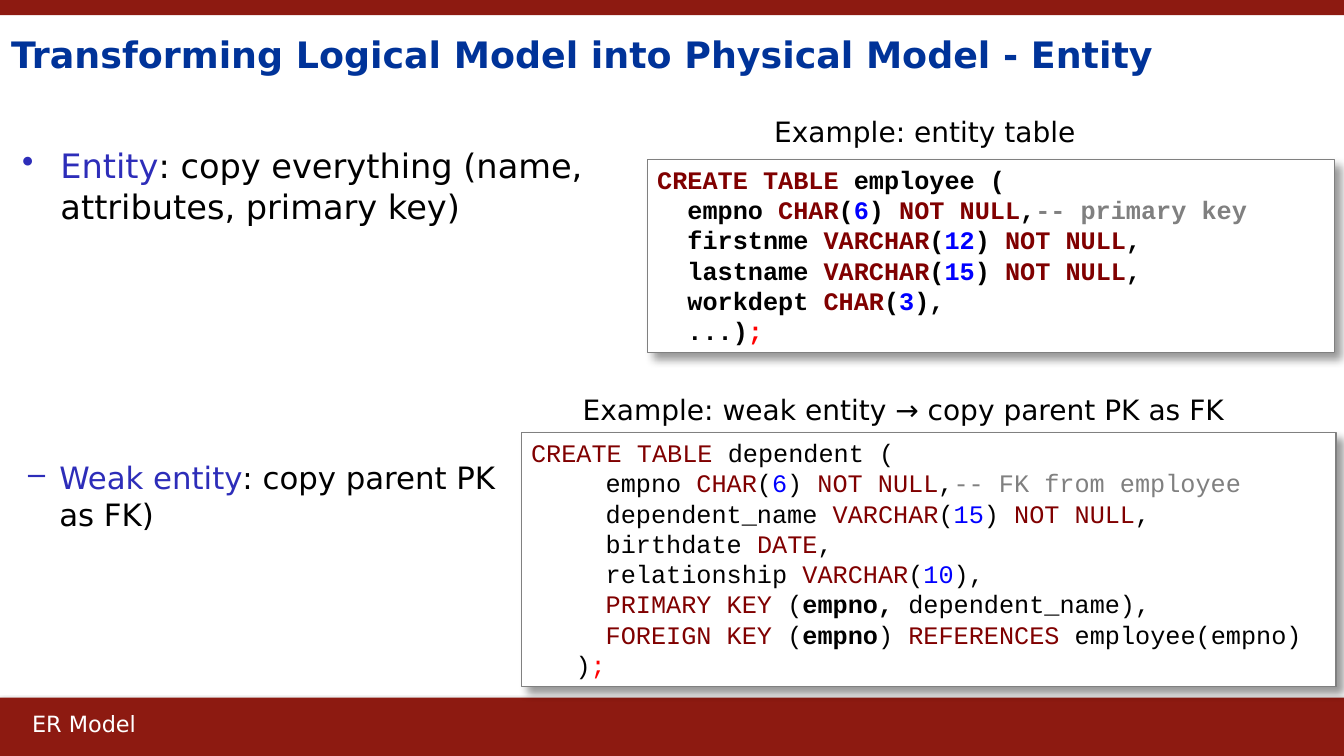
import pptx
import pptx.util
import pptx.dml.color
import pptx.enum.shapes
import pptx.enum.text
import pptx.oxml
import pptx.oxml.ns

COLORS = {
    "bar": "8D1A11", "title": "003399", "term": "2D2DB9", "plain": "000000",
    "strong": "000000", "footer": "FFFFFF", "keyword": "800000",
    "number": "0000FF", "comment": "808080", "end": "FF0000",
    "panel": "FFFFFF", "border": "808080", "shadow": "000000",
}
WIDTH, HEIGHT = 13.33, 7.5
SANS, MONO = "DejaVu Sans", "Courier New"
DEFAULT_INSETS = (0.1, 0.05, 0.1, 0.05)
FLUSH_INSETS = (0, 0, 0.1, 0.05)

BARS = [
    {"at": (0, 92.27, 100, 7.73), "shadow": (35, 3.1, 1.8, 90)},
    {"at": (0, 0, 100, 2), "shadow": None},
]
LABELS = [
    {"at": (0.83, 2.53, 97.67, 10.53), "size": 26, "insets": FLUSH_INSETS,
     "bold": True, "middle": True, "spacing": 0.95,
     "line": [("Transforming Logical Model into Physical Model - Entity", "title")]},
    {"at": (1.65, 19.2, 44.04, 28.67), "size": 24, "insets": FLUSH_INSETS, "bullet": ("•", 0.38),
     "line": [("Entity", "term"), (": copy everything (name, attributes, primary key)", "plain")]},
    {"at": (1.35, 60, 36.76, 11.2), "size": 22, "bullet": ("–", 0.31),
     "line": [("Weak entity", "term"), (": copy parent PK as FK)", "plain")]},
    {"at": (1.65, 93.33, 9.3, 4.93), "size": 16, "wrap": False,
     "line": [("ER Model", "footer")]},
    {"at": (56.86, 14.53, 35.03, 5.87), "size": 20,
     "line": [("Example: entity table", "plain")]},
    {"at": (42.61, 51.2, 51.16, 5.87), "size": 20,
     "line": [("Example: weak entity → copy parent PK as FK", "plain")]},
]


def column(name, kind, length, required=True, comment=""):
    line = [(f"  {name} ", "plain"), (kind, "keyword"), ("(", "plain"), (length, "number")]
    if required:
        line += [(") ", "plain"), ("NOT NULL", "keyword"), (",", "plain")]
    else:
        line += [("),", "plain")]
    if comment:
        line += [(comment, "comment")]
    return line


LISTINGS = [
    {"at": (48.16, 21.07, 51.16, 25.6), "bold": True, "indent": 0, "lines": [
        [("CREATE TABLE", "keyword"), (" employee (", "plain")],
        column("empno", "CHAR", "6", comment="-- primary key"),
        column("firstnme", "VARCHAR", "12"),
        column("lastname", "VARCHAR", "15"),
        column("workdept", "CHAR", "3", required=False),
        [("  ...)", "plain"), (";", "end")],
    ]},
    {"at": (38.78, 57.2, 60.62, 33.6), "bold": False, "indent": 0.44, "lines": [
        [("CREATE TABLE", "keyword"), (" dependent (", "plain")],
        column("empno", "CHAR", "6", comment="-- FK from employee"),
        column("dependent_name", "VARCHAR", "15"),
        [("  birthdate ", "plain"), ("DATE", "keyword"), (",", "plain")],
        column("relationship", "VARCHAR", "10", required=False),
        [("  ", "plain"), ("PRIMARY KEY", "keyword"), (" (", "plain"),
         ("empno, ", "strong"), ("dependent_name),", "plain")],
        [("  ", "plain"), ("FOREIGN KEY", "keyword"), (" (", "plain"), ("empno", "strong"),
         (") ", "plain"), ("REFERENCES", "keyword"), (" employee(empno)", "plain")],
        [(")", "plain"), (";", "end")],
    ]},
]


def color(name):
    return pptx.dml.color.RGBColor.from_string(COLORS[name])


def place(at):
    left, top, width, height = at
    return [pptx.util.Inches(share * side / 100)
            for share, side in ((left, WIDTH), (top, HEIGHT), (width, WIDTH), (height, HEIGHT))]


def add_shadow(shape, alpha, blur, distance, angle):
    effects = shape._element.spPr.find(pptx.oxml.ns.qn("a:effectLst"))
    effects.append(pptx.oxml.parse_xml(
        f'<a:outerShdw {pptx.oxml.ns.nsdecls("a")} blurRad="{pptx.util.Pt(blur)}" '
        f'dist="{pptx.util.Pt(distance)}" dir="{angle * 60000}" algn="tl" rotWithShape="0">'
        f'<a:srgbClr val="{COLORS["shadow"]}"><a:alpha val="{alpha * 1000}"/></a:srgbClr>'
        '</a:outerShdw>'))


def add_box(page, at, fill, shadow):
    box = page.shapes.add_shape(pptx.enum.shapes.MSO_SHAPE.RECTANGLE, *place(at))
    box.shadow.inherit = False
    box.fill.solid()
    box.fill.fore_color.rgb = color(fill)
    box.line.fill.background()
    if shadow:
        add_shadow(box, *shadow)
    return box


def set_frame(box, insets=DEFAULT_INSETS, wrap=True, middle=False):
    frame = box.text_frame
    frame.word_wrap = wrap
    anchors = pptx.enum.text.MSO_ANCHOR
    frame.vertical_anchor = anchors.MIDDLE if middle else anchors.TOP
    (frame.margin_left, frame.margin_top,
     frame.margin_right, frame.margin_bottom) = map(pptx.util.Inches, insets)
    return frame


def write_line(para, line, font, size, bold=False):
    para.alignment = pptx.enum.text.PP_ALIGN.LEFT
    for text, style in line:
        span = para.add_run()
        span.text = text
        span.font.name = font
        span.font.size = pptx.util.Pt(size)
        span.font.bold = bold or style == "strong"
        span.font.color.rgb = color(style)


def set_indent(para, margin, hanging=0, bullet=None):
    properties = para._p.get_or_add_pPr()
    properties.set("marL", str(pptx.util.Inches(margin)))
    properties.set("indent", str(-pptx.util.Inches(hanging)))
    if bullet:
        properties.append(pptx.oxml.parse_xml(
            f'<a:buChar {pptx.oxml.ns.nsdecls("a")} char="{bullet}"/>'))


def add_label(page, label):
    box = page.shapes.add_textbox(*place(label["at"]))
    frame = set_frame(box, label.get("insets", DEFAULT_INSETS),
                      label.get("wrap", True), label.get("middle", False))
    para = frame.paragraphs[0]
    if "bullet" in label:
        mark, hanging = label["bullet"]
        set_indent(para, hanging, hanging, mark)
    if "spacing" in label:
        para.line_spacing = label["spacing"]
    write_line(para, label["line"], SANS, label["size"], label.get("bold", False))


def add_listing(page, listing):
    box = add_box(page, listing["at"], "panel", (40, 6, 6, 45))
    box.line.color.rgb = color("border")
    box.line.width = pptx.util.Pt(1)
    frame = set_frame(box)
    for index, line in enumerate(listing["lines"]):
        para = frame.add_paragraph() if index else frame.paragraphs[0]
        set_indent(para, listing["indent"] if index else 0)
        write_line(para, line, MONO, 18, listing["bold"])


def main():
    deck = pptx.Presentation()
    deck.slide_width = pptx.util.Inches(WIDTH)
    deck.slide_height = pptx.util.Inches(HEIGHT)
    page = deck.slides.add_slide(deck.slide_layouts[6])
    for bar in BARS:
        add_box(page, bar["at"], "bar", bar["shadow"])
    for listing in LISTINGS:
        add_listing(page, listing)
    for label in LABELS:
        add_label(page, label)
    deck.save("out.pptx")


if __name__ == "__main__":
    main()
